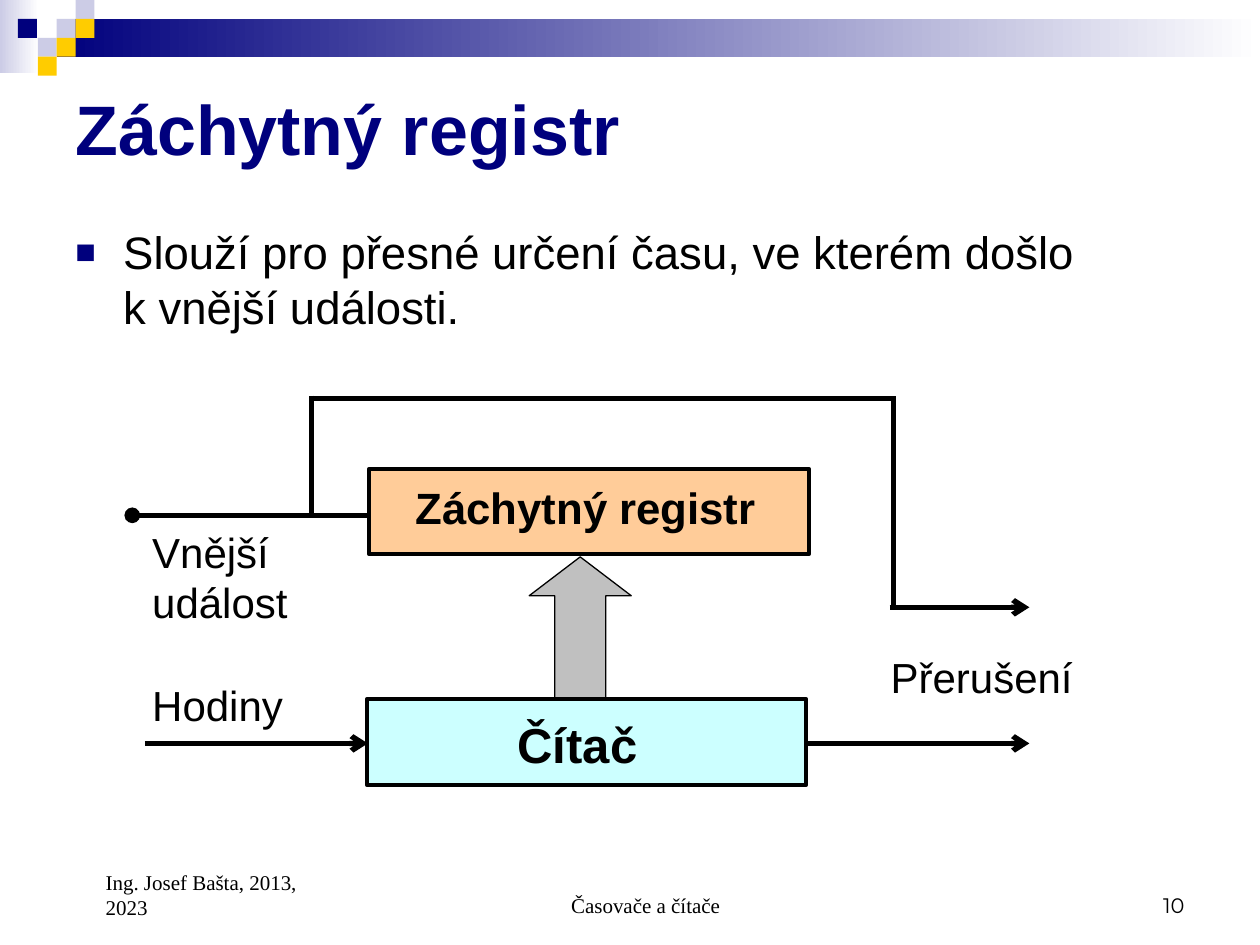
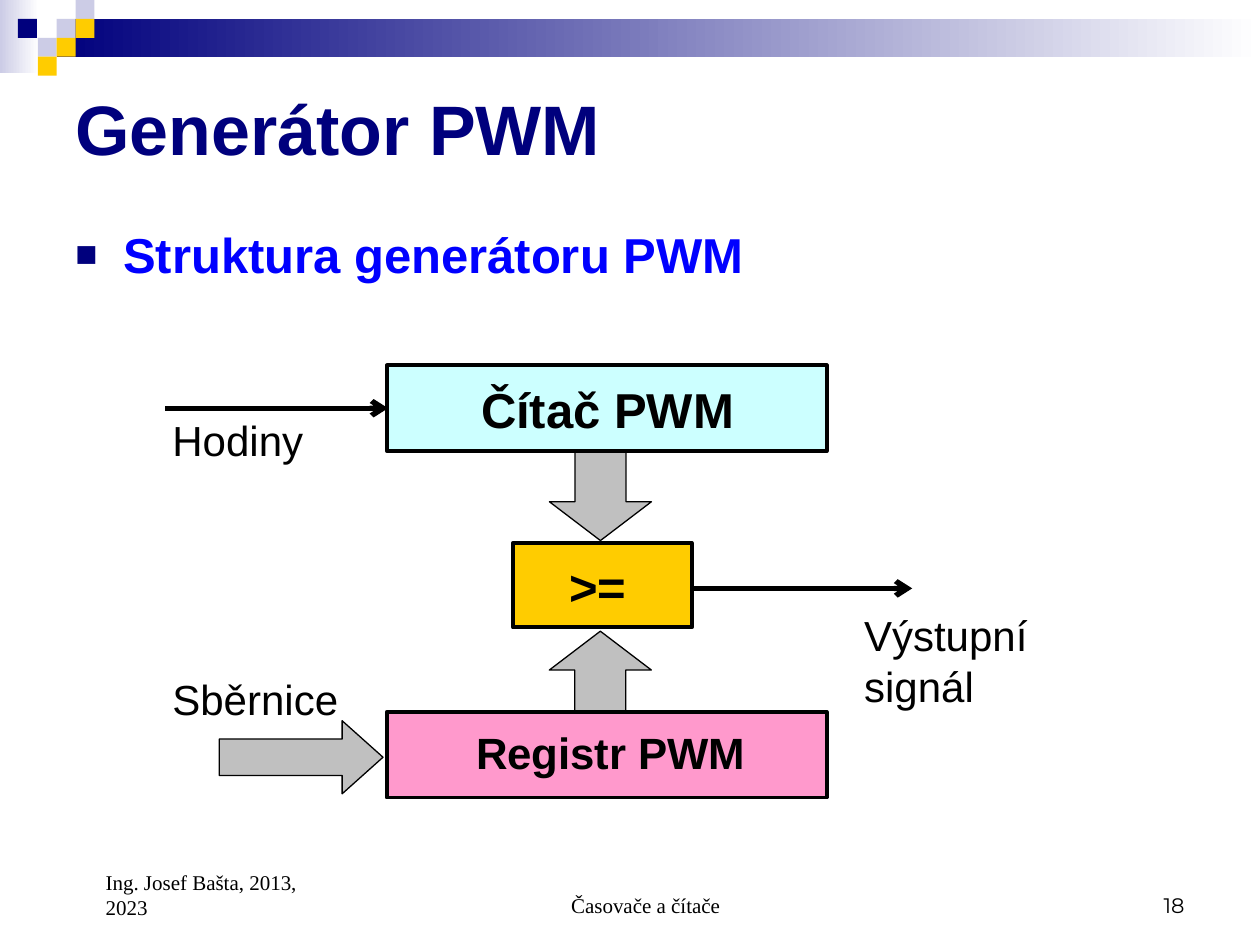
from collections import namedtuple

from lxml import etree
from pptx import Presentation
from pptx.dml.color import RGBColor
from pptx.enum.shapes import MSO_CONNECTOR, MSO_SHAPE
from pptx.enum.text import MSO_ANCHOR, MSO_AUTO_SIZE, PP_ALIGN
from pptx.oxml.ns import qn
from pptx.util import Inches, Pt

RECT, UP_ARROW, RIGHT_ARROW = MSO_SHAPE.RECTANGLE, MSO_SHAPE.UP_ARROW, MSO_SHAPE.RIGHT_ARROW
STRAIGHT = MSO_CONNECTOR.STRAIGHT
LEFT, CENTER, RIGHT = PP_ALIGN.LEFT, PP_ALIGN.CENTER, PP_ALIGN.RIGHT
TOP, MIDDLE, BOTTOM = MSO_ANCHOR.TOP, MSO_ANCHOR.MIDDLE, MSO_ANCHOR.BOTTOM
NO_AUTOFIT = MSO_AUTO_SIZE.NONE

COLORS = {
    "white": "FFFFFF",
    "black": "000000",
    "navy": "00007D",
    "blue": "0000FF",
    "lavender": "CCCCE6",
    "gold": "FFCC00",
    "gray": "C0C0C0",
    "cyan": "CCFFFF",
    "peach": "FFCC99",
    "pink": "FF99CC",
}
SANS, SERIF, NUMBER_FONT = "Arial", "Times New Roman", "Montserrat"
BLOCK_W, BLOCK_H = 3.49, 0.68
ARROW_W, ARROW_H = 0.81, 1.23
TILE = 0.15


class Box(namedtuple("Box", "left top width height")):
    def inside(self, left, top, width, height):
        """Return a box given relative to this one's top left corner."""
        return Box(self.left + left, self.top + top, width, height)

    def lengths(self):
        return [Inches(value) for value in self]


HEADER = Box(0, 0, 10, 0.6)
TITLE = Box(0.5, 0.5, 9, 1.03)
FOOTER = Box(0.5, 6.83, 9, 0.52)


def rgb(color):
    return RGBColor.from_string(COLORS[color])


def set_text(frame, text, size, color="black", font=SANS, bold=False,
             align=LEFT, anchor=TOP, indent=0):
    frame.word_wrap = True
    frame.auto_size = NO_AUTOFIT
    frame.vertical_anchor = anchor
    paragraph = frame.paragraphs[0]
    paragraph.text = text
    paragraph.alignment = align
    if indent:
        paragraph._p.get_or_add_pPr().set("marL", str(Inches(indent)))
    paragraph.font.name = font
    paragraph.font.size = Pt(size)
    paragraph.font.bold = bold
    paragraph.font.color.rgb = rgb(color)


def add_label(slide, box, text, size=24, **style):
    label = slide.shapes.add_textbox(*box.lengths())
    set_text(label.text_frame, text, size, **style)


def add_plain_shape(slide, kind, box, fill=None, line_width=None):
    shape = slide.shapes.add_shape(kind, *box.lengths())
    shape.shadow.inherit = False
    if fill:
        shape.fill.solid()
        shape.fill.fore_color.rgb = rgb(fill)
    if line_width:
        shape.line.color.rgb = rgb("black")
        shape.line.width = Pt(line_width)
    else:
        shape.line.fill.background()
    return shape


def add_block(slide, box, fill, caption_box, caption, size):
    add_plain_shape(slide, RECT, box, fill, 2.25)
    add_label(slide, caption_box, caption, size, bold=True)


def add_data_arrow(slide, box, kind=UP_ARROW, head=0.381, rotation=0):
    arrow = add_plain_shape(slide, kind, box, "gray", 0.75)
    arrow.adjustments[0] = 0.5
    arrow.adjustments[1] = head
    arrow.rotation = rotation


def add_wire(slide, area, start, end, head=None, tail=None):
    """Draw a line between two points of the area, with optional line ends."""
    points = [Inches(origin + offset) for point in (start, end)
              for origin, offset in zip((area.left, area.top), point)]
    wire = slide.shapes.add_connector(STRAIGHT, *points)
    wire.line.color.rgb = rgb("black")
    wire.line.width = Pt(3)
    properties = wire._element.spPr
    line = properties.find(qn("a:ln"))
    for tag, ending in (("a:headEnd", head), ("a:tailEnd", tail)):
        if ending:
            etree.SubElement(line, qn(tag), type=ending)
    etree.SubElement(properties, qn("a:effectLst"))


def add_header(slide, area):
    fades = [((0, 0, 0.31, 0.58), "lavender"), ((0.45, 0.15, 9.55, 0.3), "navy")]
    for bounds, color in fades:
        fade = add_plain_shape(slide, RECT, area.inside(*bounds))
        fade.fill.gradient()
        fade.fill.gradient_angle = 180
        for stop, stop_color in zip(fade.fill.gradient_stops, ("white", color)):
            stop.color.rgb = rgb(stop_color)
    tiles = [(3, 1, "lavender"), (4, 0, "lavender"), (4, 1, "gold"), (2, 2, "lavender"),
             (0.95, 1, "navy"), (3, 2, "gold"), (2, 3, "gold")]
    for column, row, color in tiles:
        tile_box = area.inside(column * TILE, row * TILE, TILE, TILE)
        add_plain_shape(slide, RECT, tile_box, color)


def add_title(slide, box, text):
    title = slide.shapes.title
    title.left, title.top, title.width, title.height = box.lengths()
    set_text(title.text_frame, text, 40, "navy", bold=True, anchor=MIDDLE)


def add_bullet(slide, box, text, size, color="black", bold=False):
    bullet = slide.shapes.add_textbox(*box.lengths())
    properties = bullet.text_frame.paragraphs[0]._p.get_or_add_pPr()
    properties.set("indent", str(Inches(-0.38)))
    bullet_color = etree.SubElement(properties, qn("a:buClr"))
    etree.SubElement(bullet_color, qn("a:srgbClr"), val=COLORS["navy"])
    etree.SubElement(properties, qn("a:buSzPct"), val="75000")
    etree.SubElement(properties, qn("a:buFont"), typeface=SANS)
    etree.SubElement(properties, qn("a:buChar"), char="■")
    set_text(bullet.text_frame, text, size, color, bold=bold, indent=0.38)


def add_footer(slide, area, number):
    add_label(slide, area.inside(2.92, 0, 3.17, 0.5), "Časovače a čítače", 12,
              font=SERIF, align=CENTER, anchor=BOTTOM, indent=0.24)
    add_label(slide, area.inside(6.67, 0, 2.33, 0.5), str(number), 12,
              font=NUMBER_FONT, align=RIGHT, anchor=BOTTOM)
    add_label(slide, area.inside(0, 0, 2.33, 0.52), "Ing. Josef Bašta, 2013, 2023", 12,
              font=SERIF, anchor=BOTTOM, indent=0.24)


def draw_capture_register(slide, area):
    add_data_arrow(slide, area.inside(3.2, 1.42, ARROW_W, ARROW_H))
    add_block(slide, area.inside(1.91, 2.55, BLOCK_W, BLOCK_H), "cyan",
              area.inside(3.01, 2.62, 1.31, 0.57), "Čítač", 28)
    add_block(slide, area.inside(1.93, 0.72, BLOCK_W, BLOCK_H), "peach",
              area.inside(2.2, 0.77, 3.02, 0.52), "Záchytný registr", 25)

    clock_y, event_y, interrupt_y, bypass_y = 2.9, 1.09, 1.82, 0.16
    bypass_left, bypass_right, output_x = 1.47, 6.09, 7.17
    add_wire(slide, area, (0.15, clock_y), (1.92, clock_y), tail="arrow")
    add_wire(slide, area, (5.4, clock_y), (output_x, clock_y), tail="arrow")
    add_wire(slide, area, (6.06, interrupt_y), (output_x, interrupt_y), tail="arrow")
    add_wire(slide, area, (0.05, event_y), (1.92, event_y), head="oval")
    add_wire(slide, area, (bypass_right, 0.18), (bypass_right, 1.83))
    add_wire(slide, area, (bypass_left, 0.14), (bypass_left, 1.11))
    add_wire(slide, area, (bypass_left, bypass_y), (6.11, bypass_y))

    add_label(slide, area.inside(0.11, 2.34, 1.44, 0.5), "Hodiny")
    add_label(slide, area.inside(5.97, 2.12, 1.77, 0.5), "Přerušení")
    add_label(slide, area.inside(0.11, 1.13, 1.44, 0.9), "Vnější událost")


def draw_pwm_generator(slide, area):
    add_data_arrow(slide, area.inside(3.36, 0.16, ARROW_W, ARROW_H), rotation=180)
    add_data_arrow(slide, area.inside(3.36, 2.11, ARROW_W, ARROW_H))
    add_block(slide, area.inside(2.07, 0, BLOCK_W, BLOCK_H), "cyan",
              area.inside(2.72, 0.06, 2.3, 0.57), "Čítač PWM", 28)
    add_block(slide, area.inside(2.07, 2.75, BLOCK_W, BLOCK_H), "pink",
              area.inside(2.68, 2.81, 2.51, 0.52), "Registr PWM", 25)

    clock_y, output_y = 0.34, 1.77
    add_wire(slide, area, (0.31, clock_y), (2.08, clock_y), tail="arrow")
    add_wire(slide, area, (4.36, output_y), (6.24, output_y), tail="arrow")
    add_block(slide, area.inside(3.07, 1.41, 1.42, 0.67), "gold",
              area.inside(3.42, 1.47, 0.72, 0.57), ">=", 28)
    add_data_arrow(slide, area.inside(0.74, 2.82, 1.3, 0.58), RIGHT_ARROW, head=0.559)

    add_label(slide, area.inside(0.27, 0.34, 1.44, 0.5), "Hodiny")
    add_label(slide, area.inside(0.27, 2.4, 1.6, 0.5), "Sběrnice")
    add_label(slide, area.inside(5.76, 1.89, 1.54, 0.9), "Výstupní signál")


def add_base_slide(presentation, title, number):
    """Add a slide with the shared header, title and footer."""
    slide = presentation.slides.add_slide(presentation.slide_layouts[5])
    add_header(slide, HEADER)
    add_title(slide, TITLE, title)
    add_footer(slide, FOOTER, number)
    return slide


def main():
    presentation = Presentation()
    presentation.slide_width = Inches(10)
    presentation.slide_height = Inches(7.5)

    capture = add_base_slide(presentation, "Záchytný registr", 10)
    add_bullet(capture, Box(0.5, 1.73, 9, 1.02),
               "Slouží pro přesné určení času, ve kterém došlo\vk vnější události.", 26)
    draw_capture_register(capture, Box(1, 3, 8, 3.5))

    generator = add_base_slide(presentation, "Generátor PWM", 18)
    add_bullet(generator, Box(0.5, 1.73, 9, 0.6), "Struktura generátoru PWM", 28,
               "blue", bold=True)
    draw_pwm_generator(generator, Box(1, 2.9, 8, 3.5))

    presentation.save("out.pptx")


if __name__ == "__main__":
    main()
